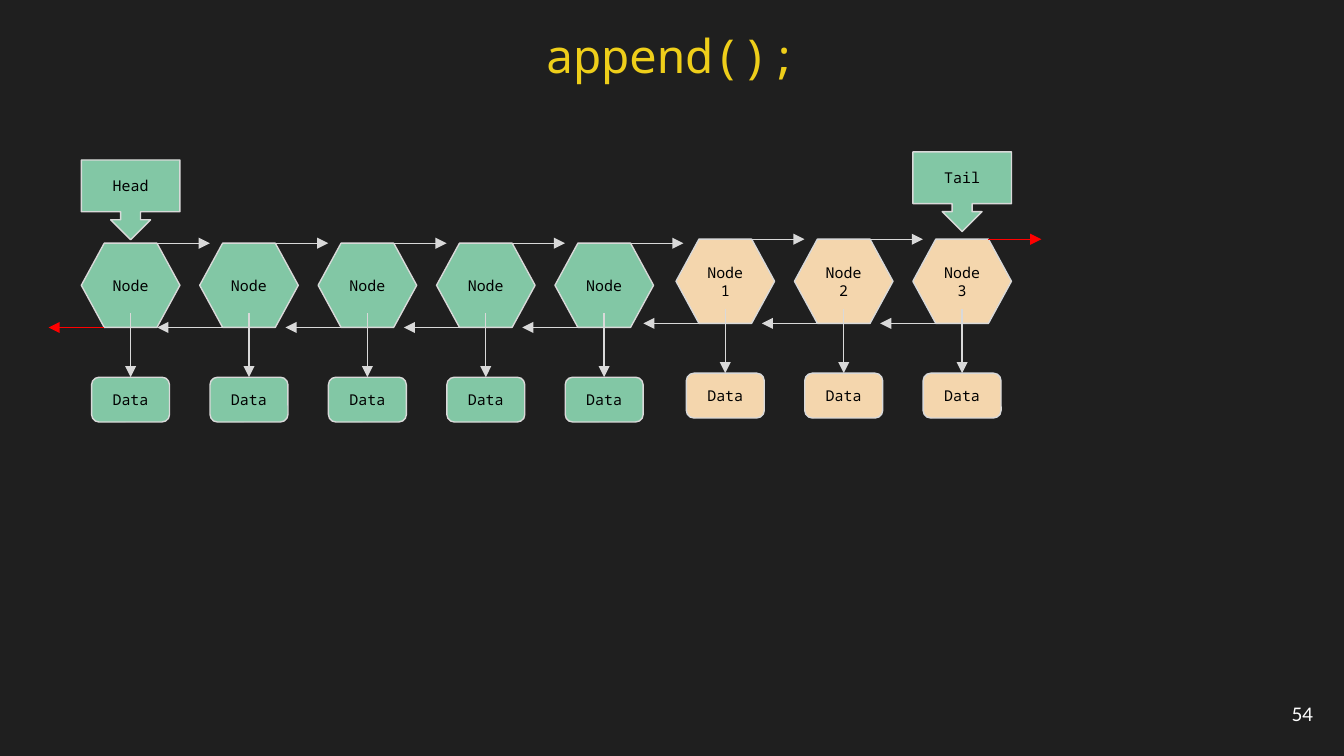
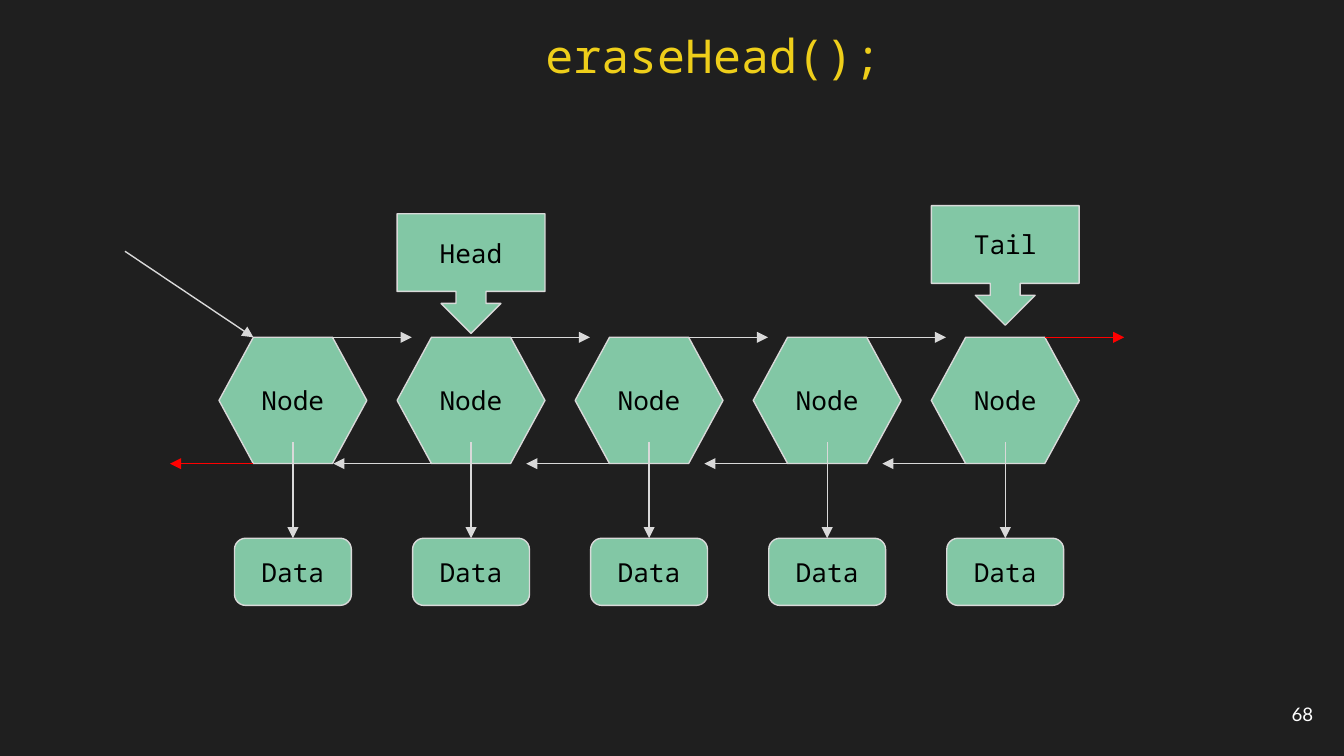
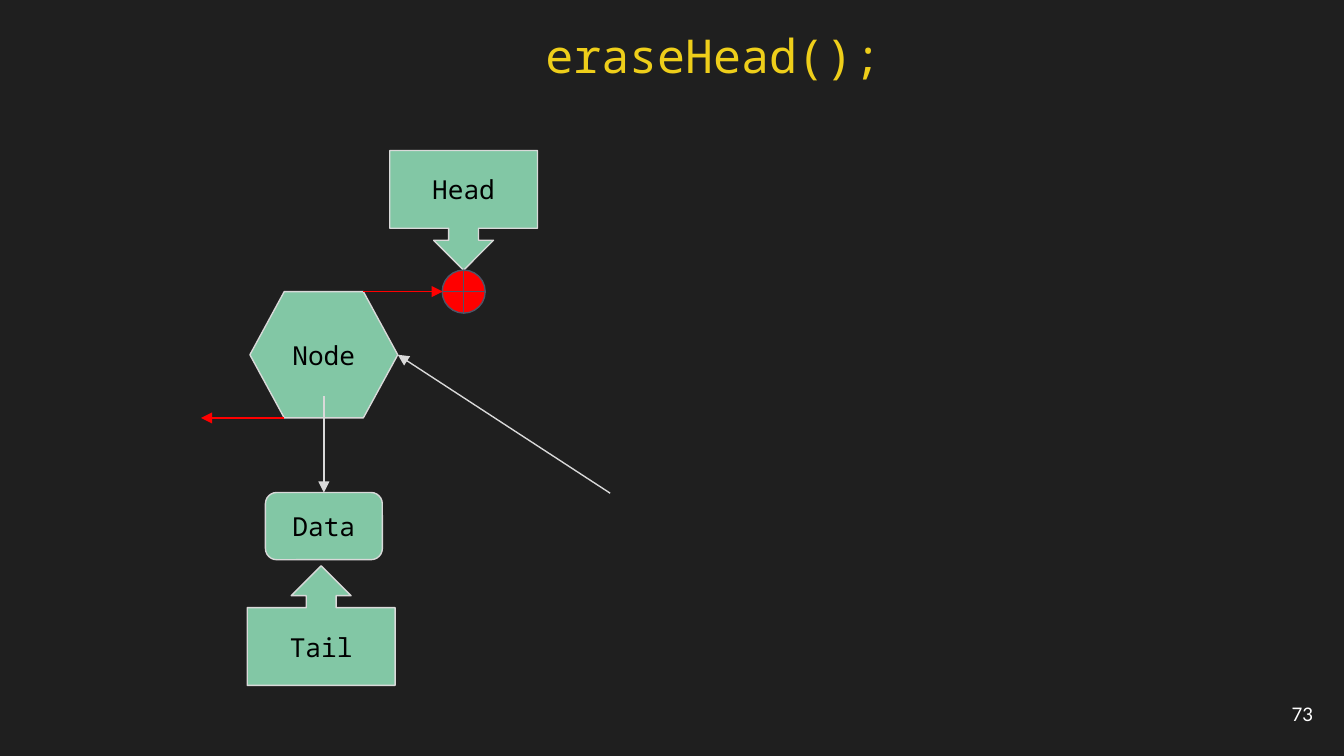
from collections import namedtuple

from lxml.etree import SubElement
from pptx import Presentation
from pptx.dml.color import RGBColor
from pptx.enum.shapes import MSO_CONNECTOR as Connector, MSO_SHAPE as Preset
from pptx.enum.text import MSO_ANCHOR as Anchor, PP_ALIGN as Align
from pptx.oxml.ns import qn
from pptx.util import Inches, Pt

COLORS = {
    "background": "1F1F1F",
    "title": "EECE1A",
    "number": "FFFFFF",
    "label": "000000",
    "listed": "82C7A5",
    "appended": "F4D6AD",
    "link": "D9D9D9",
    "null": "FF0000",
    "null_outline": "4E5567",
}
MONO = "Noto Sans Mono"
CELL = Inches(0.1)
COLUMNS, ROWS = 100, 56.25

NODE_W, NODE_H = 11, 9.4
DATA_W, DATA_H, DATA_DROP = 8.7, 5, 5.55
CALLOUT_W, CALLOUT_H = 11, 8.9
SLANT = 0.272
NEXT_REACH, PREV_REACH, LONG_PREV_REACH = 5.9, 6.2, 7.3
STEM_RISE = 1.6

Scale = namedtuple("Scale", "ratio pitch font_size")
SMALL = Scale(2 / 3, 8.81, 8)
LARGE = Scale(1, 13.25, 14)


def grid(*cells):
    return [round(cell * CELL) for cell in cells]


def color(role):
    return RGBColor.from_string(COLORS[role])


def apply_formats(target, formats):
    for attribute, value in formats.items():
        setattr(target, attribute, value)


def write_text(shape, text, role, size, font=MONO, align=Align.CENTER, anchor=Anchor.MIDDLE):
    frame = shape.text_frame
    margins = {f"margin_{side}": CELL for side in ("left", "right", "top", "bottom")}
    apply_formats(frame, {"word_wrap": True, "vertical_anchor": anchor, **margins})
    frame.text = text
    paragraph = frame.paragraphs[0]
    paragraph.alignment = align
    apply_formats(paragraph.runs[0].font, {"name": font, "size": Pt(size)})
    paragraph.runs[0].font.color.rgb = color(role)


def add_block(shapes, preset, box, fill, outline="link", adjustments=()):
    block = shapes.add_shape(preset, *grid(*box))
    block.shadow.inherit = False
    block.fill.solid()
    block.fill.fore_color.rgb = color(fill)
    block.line.color.rgb = color(outline)
    block.line.width = Pt(0.75)
    for index, value in enumerate(adjustments):
        block.adjustments[index] = value
    return block


def add_arrow(shapes, start, end, role="link"):
    arrow = shapes.add_connector(Connector.STRAIGHT, *grid(*start, *end))
    arrow.line.color.rgb = color(role)
    arrow.line.width = Pt(0.75)
    SubElement(arrow.line._get_or_add_ln(), qn("a:tailEnd"), type="triangle")
    SubElement(arrow._element.spPr, qn("a:effectLst"))
    return arrow


def add_node(shapes, left, top, scale, label="Node", fill="listed",
             prev_role="link", next_role="link", prev_reach=PREV_REACH):
    ratio = scale.ratio
    width, height = NODE_W * ratio, NODE_H * ratio
    bottom, center = top + height, left + width / 2
    inset = SLANT * height

    node = add_block(shapes, Preset.HEXAGON, (left, top, width, height), fill,
                     adjustments=(SLANT,))
    write_text(node, label, "label", scale.font_size)

    prev_start, next_start = left + inset, left + width - inset
    add_arrow(shapes, (prev_start, bottom), (prev_start - prev_reach * ratio, bottom), prev_role)
    add_arrow(shapes, (next_start, top), (next_start + NEXT_REACH * ratio, top), next_role)

    data_top = bottom + DATA_DROP * ratio
    stem = add_arrow(shapes, (center, bottom - STEM_RISE * ratio), (center, data_top))
    data_box = (center - DATA_W * ratio / 2, data_top, DATA_W * ratio, DATA_H * ratio)
    data = add_block(shapes, Preset.ROUNDED_RECTANGLE, data_box, fill, adjustments=(0.167,))
    write_text(data, "Data", "label", scale.font_size)
    stem.end_connect(data, 0)


def add_chain(shapes, left, top, scale, labels, fill="listed", opens=False, closes=False):
    last = len(labels) - 1
    for index, label in enumerate(labels):
        add_node(
            shapes, left + index * scale.pitch, top, scale, label, fill,
            prev_role="null" if opens and index == 0 else "link",
            next_role="null" if closes and index == last else "link",
            prev_reach=LONG_PREV_REACH if opens and index == 1 else PREV_REACH,
        )


def add_pointer(shapes, label, left, top, scale, preset=Preset.DOWN_ARROW_CALLOUT):
    box = (left, top, CALLOUT_W * scale.ratio, CALLOUT_H * scale.ratio)
    pointer = add_block(shapes, preset, box, "listed", adjustments=(0.25, 0.25, 0.25, 0.65))
    write_text(pointer, label, "label", scale.font_size)


def add_slide(deck, title, number):
    slide = deck.slides.add_slide(deck.slide_layouts[6])
    slide.background.fill.solid()
    slide.background.fill.fore_color.rgb = color("background")
    heading = slide.shapes.add_textbox(*grid(39.6, 1, 49, 6.8))
    write_text(heading, title, "title", 25, align=Align.LEFT, anchor=Anchor.TOP)
    page = slide.shapes.add_textbox(*grid(92.7, 51, 6, 4.3))
    write_text(page, number, "number", 10, font="Lato", align=Align.RIGHT)
    return slide.shapes


def build_append(deck):
    shapes = add_slide(deck, "append();", "54")
    listed_left, appended_left = 6.05, 50.3
    add_chain(shapes, listed_left, 18.1, SMALL, ["Node"] * 5, opens=True)
    add_chain(shapes, appended_left, 17.8, SMALL, ["Node1", "Node2", "Node3"],
              fill="appended", closes=True)
    add_pointer(shapes, "Head", listed_left, 11.9, SMALL)
    add_pointer(shapes, "Tail", appended_left + 2 * SMALL.pitch, 11.3, SMALL)


def build_erase_head(deck):
    shapes = add_slide(deck, "eraseHead();", "68")
    left, top = 16.3, 25.1
    add_chain(shapes, left, top, LARGE, ["Node"] * 5, opens=True, closes=True)
    add_pointer(shapes, "Head", left + LARGE.pitch, 15.9, LARGE)
    add_pointer(shapes, "Tail", left + 4 * LARGE.pitch, 15.3, LARGE)
    add_arrow(shapes, (9.3, 18.7), (left + SLANT * NODE_H, top))


def build_erase_last(deck):
    shapes = add_slide(deck, "eraseHead();", "73")
    left, top = 18.6, 21.7
    add_pointer(shapes, "Head", 29, 11.2, LARGE)
    add_block(shapes, Preset.FLOWCHART_OR, (32.9, 20.1, 3.2, 3.2), "null", "null_outline")
    last_node = shapes.add_group_shape()
    add_node(last_node.shapes, left, top, LARGE, prev_role="null", next_role="null")
    add_pointer(shapes, "Tail", 18.4, 42.1, LARGE, Preset.UP_ARROW_CALLOUT)
    add_arrow(shapes, (45.4, 36.7), (left + NODE_W, top + NODE_H / 2))


def main():
    deck = Presentation()
    deck.slide_width, deck.slide_height = grid(COLUMNS, ROWS)
    for build in (build_append, build_erase_head, build_erase_last):
        build(deck)
    deck.save("out.pptx")


if __name__ == "__main__":
    main()
